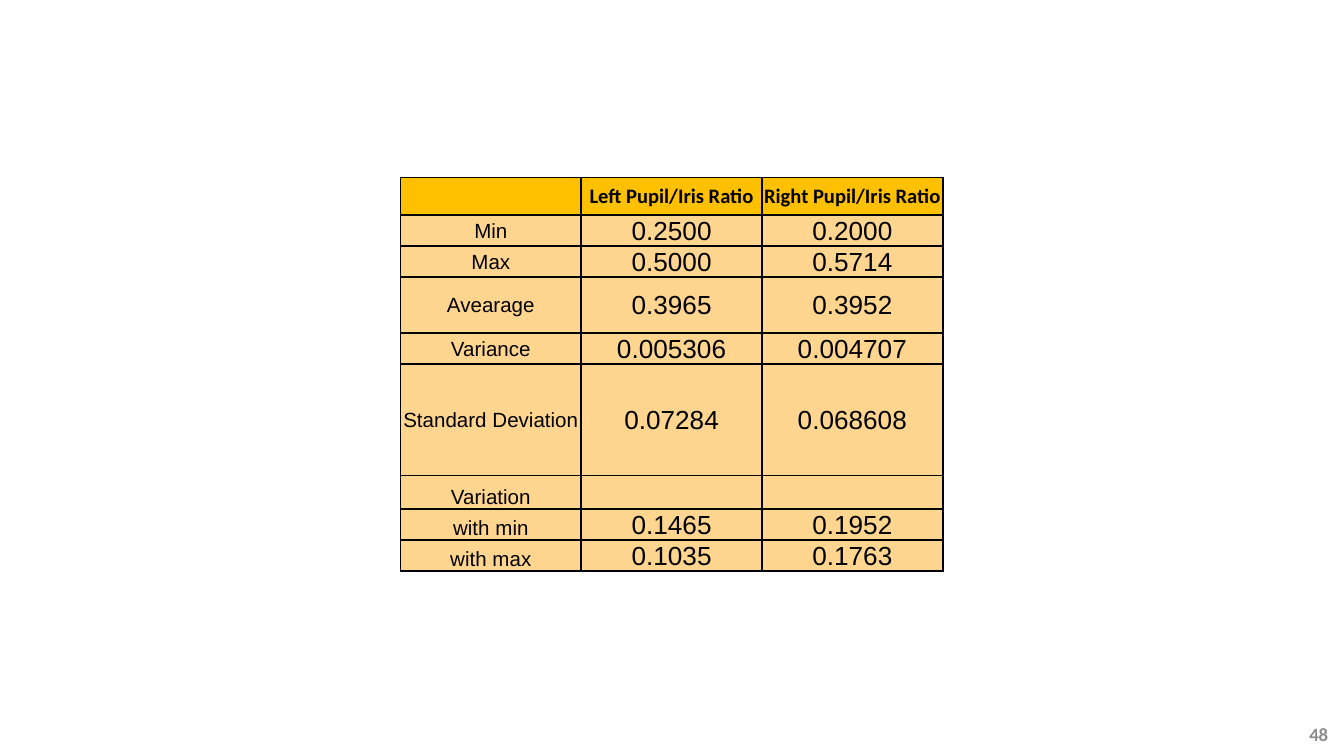
from pptx import Presentation
from pptx import util as u
from pptx.dml.color import RGBColor
from pptx.enum import text
from pptx.oxml import parse_xml
from pptx.oxml.ns import nsdecls

# Content: label, left ratio, right ratio, row height
HEADER = ("", "Left Pupil/Iris Ratio", "Right Pupil/Iris Ratio")
HEADER_H = 0.28
STATS = [
    ("Min", "0.2500", "0.2000", 0.23),
    ("Max", "0.5000", "0.5714", 0.23),
    ("Avearage", "0.3965", "0.3952", 0.42),
    ("Variance", "0.005306", "0.004707", 0.23),
    ("Standard Deviation", "0.07284", "0.068608", 0.83),
    ("Variation", "", "", 0.25),
    ("with min", "0.1465", "0.1952", 0.23),
    ("with max", "0.1035", "0.1763", 0.23),
]
VARIATION_ROW = 6  # from here on text sits at the bottom of its cell
PAGE = "48"

THEME = {
    "head": "FFC000", "body": "FFD58F", "ink": "000000", "page": "8C8C8C",
    "head_font": "Calibri", "body_font": "Arial",
    "label_pt": 11, "value_pt": 14, "page_pt": 10, "border_pt": 1,
}
LEFT, TOP, COL_W = 2.98, 1.32, 1.345


def put_text(tf, words, *, font, size, color=THEME["ink"], bold=False,
             align=text.PP_ALIGN.CENTER):
    p = tf.paragraphs[0]
    p.alignment = align
    if not words:  # keep an empty cell from growing its row
        p._p.append(parse_xml(f'<a:endParaRPr {nsdecls("a")} sz="{size * 100}"/>'))
        return
    r = p.add_run()
    r.text = words
    r.font.name, r.font.size, r.font.bold = font, u.Pt(size), bold
    r.font.color.rgb = RGBColor.from_string(color)


def style_cell(cell, fill, anchor):
    cell.margin_left = cell.margin_right = cell.margin_top = u.Inches(0.01)
    cell.margin_bottom = 0
    cell.vertical_anchor = anchor
    # Borders come before the fill in the cell properties
    tc_pr = cell._tc.get_or_add_tcPr()
    for side in ("lnL", "lnR", "lnT", "lnB"):
        tc_pr.append(parse_xml(
            f'<a:{side} {nsdecls("a")} w="{u.Pt(THEME["border_pt"])}"><a:solidFill>'
            f'<a:srgbClr val="{THEME["ink"]}"/></a:solidFill></a:{side}>'))
    cell.fill.solid()
    cell.fill.fore_color.rgb = RGBColor.from_string(fill)


prs = Presentation()
prs.slide_width = u.Inches(10)
prs.slide_height = prs.slide_width * 9 // 16
s = prs.slides.add_slide(prs.slide_layouts[6])

# Ratio table
rows = [HEADER] + [stat[:3] for stat in STATS]
heights = [HEADER_H] + [stat[3] for stat in STATS]
table = s.shapes.add_table(
    len(rows), len(HEADER), u.Inches(LEFT), u.Inches(TOP),
    u.Inches(COL_W * len(HEADER)), u.Inches(sum(heights))).table
for col in table.columns:
    col.width = u.Inches(COL_W)
for i, (row, height) in enumerate(zip(rows, heights)):
    table.rows[i].height = u.Inches(height)
    head = i == 0
    anchor = text.MSO_ANCHOR.BOTTOM if i >= VARIATION_ROW else text.MSO_ANCHOR.MIDDLE
    for j, words in enumerate(row):
        cell = table.cell(i, j)
        style_cell(cell, THEME["head" if head else "body"], anchor)
        is_value = not head and j > 0 and words
        put_text(cell.text_frame, words, bold=head,
                 font=THEME["head_font" if head else "body_font"],
                 size=THEME["value_pt" if is_value else "label_pt"])

# Page number
tf = s.shapes.add_textbox(u.Inches(7.73), u.Inches(5.31),
                          u.Inches(2.25), u.Inches(0.3)).text_frame
tf.word_wrap = True
tf.vertical_anchor = text.MSO_ANCHOR.MIDDLE
put_text(tf, PAGE, font=THEME["head_font"], size=THEME["page_pt"],
         color=THEME["page"], bold=True, align=text.PP_ALIGN.RIGHT)

prs.save("out.pptx")
